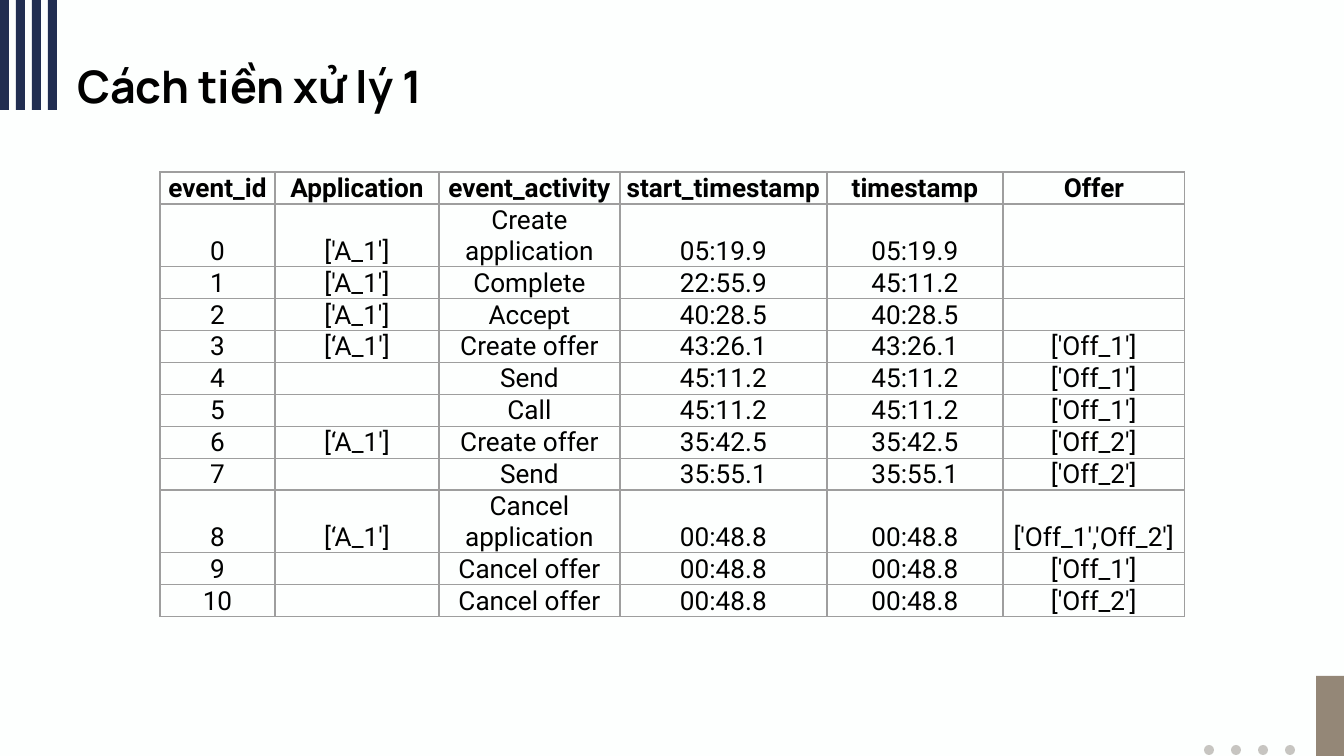
"""Build the slide "Cách tiền xử lý 1" with its table of event log rows."""
from lxml import etree
from pptx import Presentation
from pptx import util as u
from pptx.dml.color import RGBColor
from pptx.enum import shapes, text
from pptx.oxml import ns

SCALE = 914400 / 134.4
COLORS = {
    "background": "FDFFFE",
    "stripe": "212E51",
    "dot": "C7C5C1",
    "block": "948777",
    "text": "000000",
    "border": "9E9E9E",
}


def px(length):
    return u.Emu(round(length * SCALE))


def write(frame, content, *, font, size, bold=False, align=text.PP_ALIGN.LEFT):
    paragraph = frame.paragraphs[0]
    paragraph.alignment = align
    run = paragraph.add_run()
    run.text = content
    run.font.name = font
    run.font.size = u.Pt(size)
    run.font.bold = bold
    run.font.color.rgb = RGBColor.from_string(COLORS["text"])


presentation = Presentation()
presentation.slide_width = px(1344)
presentation.slide_height = px(756)
slide = presentation.slides.add_slide(presentation.slide_layouts[5])
slide.background.fill.solid()
slide.background.fill.fore_color.rgb = RGBColor.from_string(COLORS["background"])

rectangle = shapes.MSO_SHAPE.RECTANGLE
oval = shapes.MSO_SHAPE.OVAL
decorations = [(rectangle, 16 * i, 0, 9, 110, "stripe") for i in range(4)]
decorations += [(oval, 1204 + 27 * i, 745, 10, 10, "dot") for i in range(4)]
decorations.append((rectangle, 1316, 676, 28, 80, "block"))
for kind, left, top, width, height, color in decorations:
    shape = slide.shapes.add_shape(kind, px(left), px(top), px(width), px(height))
    shape.shadow.inherit = False
    shape.fill.solid()
    shape.fill.fore_color.rgb = RGBColor.from_string(COLORS[color])
    shape.line.fill.background()

title = slide.shapes.title
title.left, title.top, title.width, title.height = px(43), px(43), px(665), px(85)
title_frame = title.text_frame
title_frame.auto_size = text.MSO_AUTO_SIZE.NONE
title_frame.vertical_anchor = text.MSO_ANCHOR.MIDDLE
title_frame.margin_left = px(34)
write(title_frame, "Cách tiền xử lý 1", font="Manrope", size=24, bold=True)

rows = [
    ("event_id", "Application", "event_activity", "start_timestamp", "timestamp", "Offer"),
    ("0", "['A_1']", "Create application", "05:19.9", "05:19.9", ""),
    ("1", "['A_1']", "Complete", "22:55.9", "45:11.2", ""),
    ("2", "['A_1']", "Accept", "40:28.5", "40:28.5", ""),
    ("3", "[‘A_1']", "Create offer", "43:26.1", "43:26.1", "['Off_1']"),
    ("4", "", "Send", "45:11.2", "45:11.2", "['Off_1']"),
    ("5", "", "Call", "45:11.2", "45:11.2", "['Off_1']"),
    ("6", "[‘A_1']", "Create offer", "35:42.5", "35:42.5", "['Off_2']"),
    ("7", "", "Send", "35:55.1", "35:55.1", "['Off_2']"),
    ("8", "[‘A_1']", "Cancel application", "00:48.8", "00:48.8", "['Off_1','Off_2']"),
    ("9", "", "Cancel offer", "00:48.8", "00:48.8", "['Off_1']"),
    ("10", "", "Cancel offer", "00:48.8", "00:48.8", "['Off_2']"),
]
column_widths = [115, 164, 181, 207, 176, 182]
row_heights = [62 if row[2].endswith(" application") else 31 for row in rows]

table_frame = slide.shapes.add_table(
    len(rows), len(column_widths), px(160), px(172),
    px(sum(column_widths)), px(sum(row_heights)))
table = table_frame.table
table.first_row = False
table.horz_banding = False
for column, width in zip(table.columns, column_widths):
    column.width = px(width)
for row, height in zip(table.rows, row_heights):
    row.height = px(height)

for row_index, values in enumerate(rows):
    for column_index, value in enumerate(values):
        cell = table.cell(row_index, column_index)
        cell.margin_left = cell.margin_right = cell.margin_top = px(1)
        cell.margin_bottom = 0
        cell.vertical_anchor = text.MSO_ANCHOR.BOTTOM
        properties = cell._tc.get_or_add_tcPr()
        for side in ("lnL", "lnR", "lnT", "lnB"):
            border = etree.SubElement(properties, ns.qn(f"a:{side}"), w=str(u.Pt(0.75)))
            fill = etree.SubElement(border, ns.qn("a:solidFill"))
            etree.SubElement(fill, ns.qn("a:srgbClr"), val=COLORS["border"])
        cell.fill.background()
        if value:
            write(cell.text_frame, value, font="Roboto", size=14,
                  bold=row_index == 0, align=text.PP_ALIGN.CENTER)
        else:
            paragraph = cell.text_frame.paragraphs[0]
            etree.SubElement(paragraph._p, ns.qn("a:endParaRPr"), sz="1000")

presentation.save("out.pptx")
